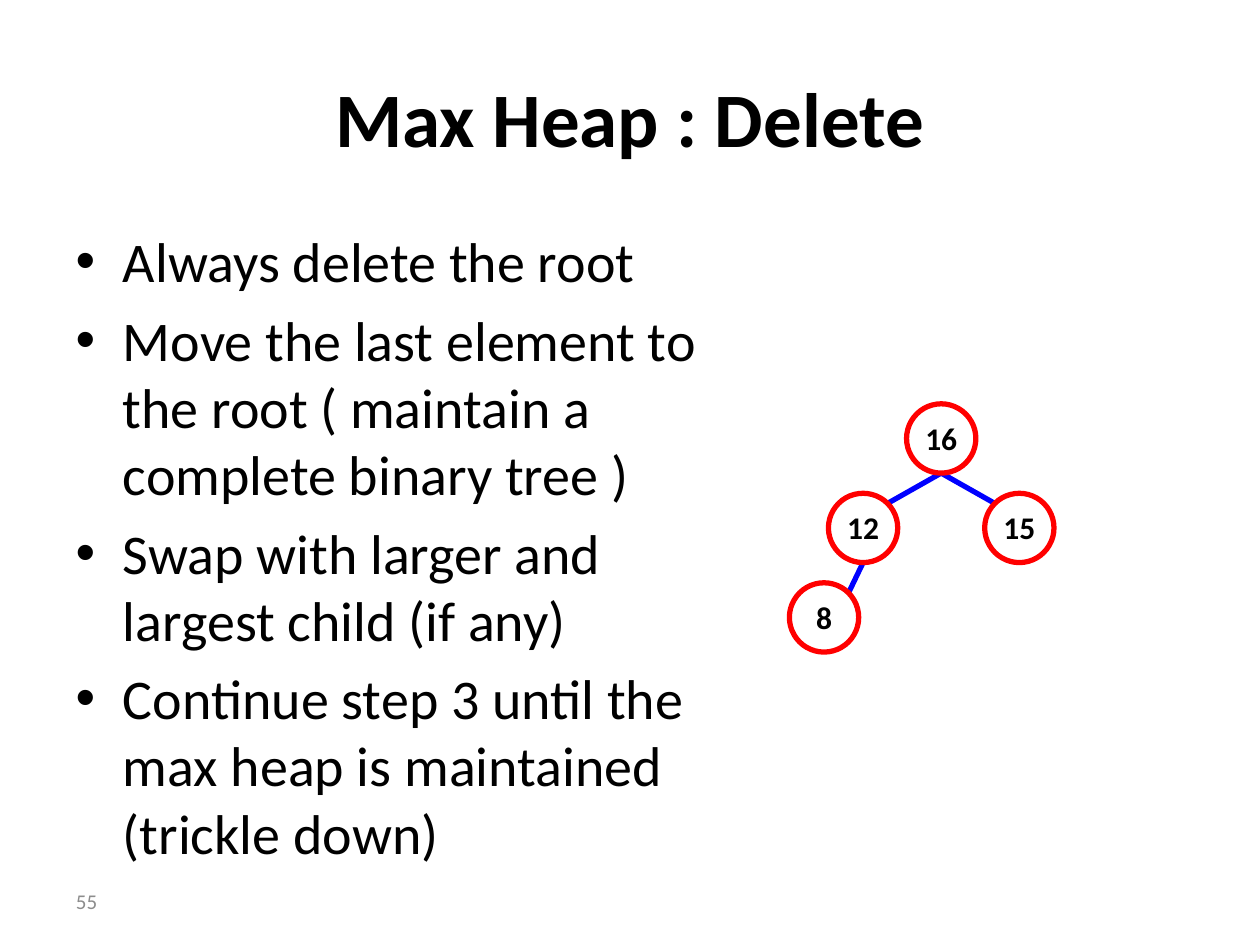
"""Build the Max Heap deletion slide with its bullet steps and heap tree."""
import math

from lxml import etree
from pptx import Presentation
from pptx import util as u
from pptx.dml.color import RGBColor
from pptx.enum import shapes, text
from pptx.oxml.ns import qn

BLACK = RGBColor(0x00, 0x00, 0x00)
RED = RGBColor(0xFF, 0x00, 0x00)
BLUE = RGBColor(0x00, 0x00, 0xFF)
GREY = RGBColor(0x8C, 0x8C, 0x8C)

TITLE = "Max Heap : Delete"
STEPS = [
    "Always delete the root",
    "Move the last element to the root ( maintain a complete binary tree )",
    "Swap with larger and largest child (if any)",
    "Continue step 3 until the max heap is maintained (trickle down)",
]
PAGE = "55"
NODES = {"15": (2, 1), "16": (0, 0), "12": (-2, 1), "8": (-3, 2)}
EDGES = [("16", "12"), ("16", "15"), ("12", "8")]

ROOT_X, ROOT_Y = 7.47, 3.48
COL, ROW = 0.31, 0.71
SIZE = 0.55
LABEL_H = 0.66
LINE_W = u.Pt(3)

TITLE_FONT = {"name": "Calibri", "size": u.Pt(44), "bold": True}
BODY_FONT = {"name": "Calibri", "size": u.Pt(32), "bold": False}
NODE_FONT = {"name": "Calibri", "size": u.Pt(18), "bold": True}
PAGE_FONT = {"name": "Calibri", "size": u.Pt(12), "bold": False}


def inches(*values):
    return [u.Inches(v) for v in values]


def place(sp, *box):
    for name, value in zip(("left", "top", "width", "height"), inches(*box)):
        setattr(sp, name, value)


def write(sp, lines, font, color=BLACK, align=None, **frame):
    tf = sp.text_frame
    for name, value in {"word_wrap": True, **frame}.items():
        setattr(tf, name, value)
    tf.text = "\n".join(lines)
    for p in tf.paragraphs:
        p.alignment = align
        for r in p.runs:
            for name, value in font.items():
                setattr(r.font, name, value)
            r.font.color.rgb = color


def center(node):
    col, row = NODES[node]
    return ROOT_X + col * COL, ROOT_Y + row * ROW


def add_edge(s, parent, child):
    (px, py), (cx, cy) = center(parent), center(child)
    reach = SIZE / 2 * math.sqrt(0.5)
    start = cx + math.copysign(reach, px - cx), cy - reach
    line = s.shapes.add_connector(
        shapes.MSO_CONNECTOR.STRAIGHT, *inches(*start, px, py + SIZE / 2))
    line.line.color.rgb = BLUE
    line.line.width = LINE_W
    etree.SubElement(line._element.spPr, qn("a:effectLst"))


def add_node(s, node):
    x, y = center(node)
    left, top = x - SIZE / 2, y - SIZE / 2
    sp = s.shapes.add_shape(shapes.MSO_SHAPE.OVAL, *inches(left, top, SIZE, SIZE))
    sp.shadow.inherit = False
    sp.fill.background()
    sp.line.color.rgb = RED
    sp.line.width = LINE_W
    label = s.shapes.add_textbox(*inches(left, top - 0.03, SIZE, LABEL_H))
    write(label, [node], NODE_FONT, align=text.PP_ALIGN.CENTER,
          margin_top=u.Inches(0.15), margin_bottom=u.Inches(0.15),
          auto_size=text.MSO_AUTO_SIZE.SHAPE_TO_FIT_TEXT)


def main():
    prs = Presentation()
    prs.slide_width, prs.slide_height = inches(10, 7.5)
    s = prs.slides.add_slide(prs.slide_layouts[1])
    title, body = s.placeholders
    place(title, 0.5, 0.3, 9, 1.25)
    write(title, [TITLE], TITLE_FONT, align=text.PP_ALIGN.CENTER,
          vertical_anchor=text.MSO_ANCHOR.MIDDLE)
    place(body, 0.5, 1.75, 5.52, 5.15)
    write(body, STEPS, BODY_FONT, auto_size=text.MSO_AUTO_SIZE.NONE)

    for parent, child in EDGES:
        add_edge(s, parent, child)
    for node in NODES:
        add_node(s, node)

    page = s.shapes.add_textbox(*inches(0, 6.95, 0.87, 0.4))
    write(page, [PAGE], PAGE_FONT, GREY, text.PP_ALIGN.RIGHT,
          vertical_anchor=text.MSO_ANCHOR.MIDDLE)
    prs.save("out.pptx")


if __name__ == "__main__":
    main()
